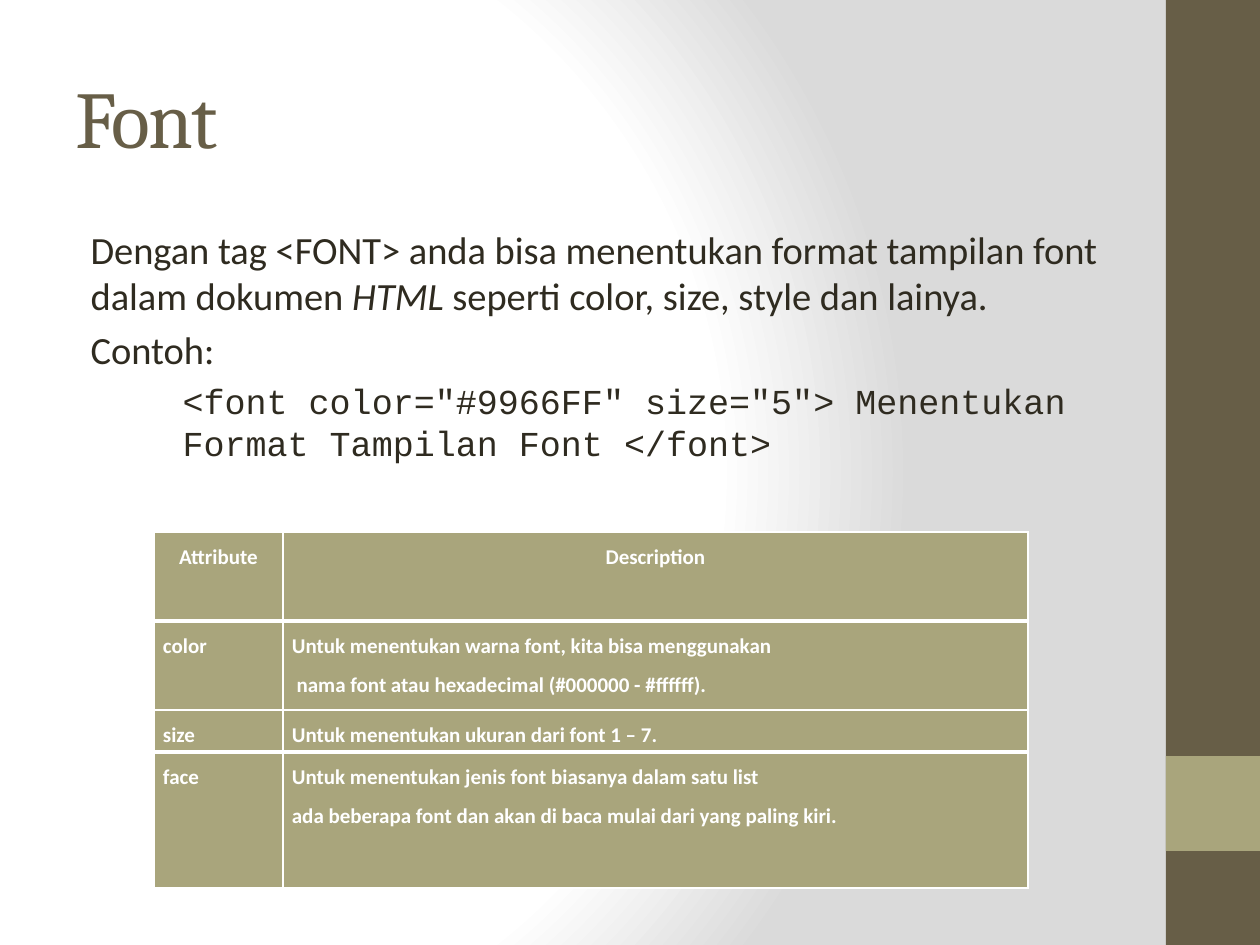
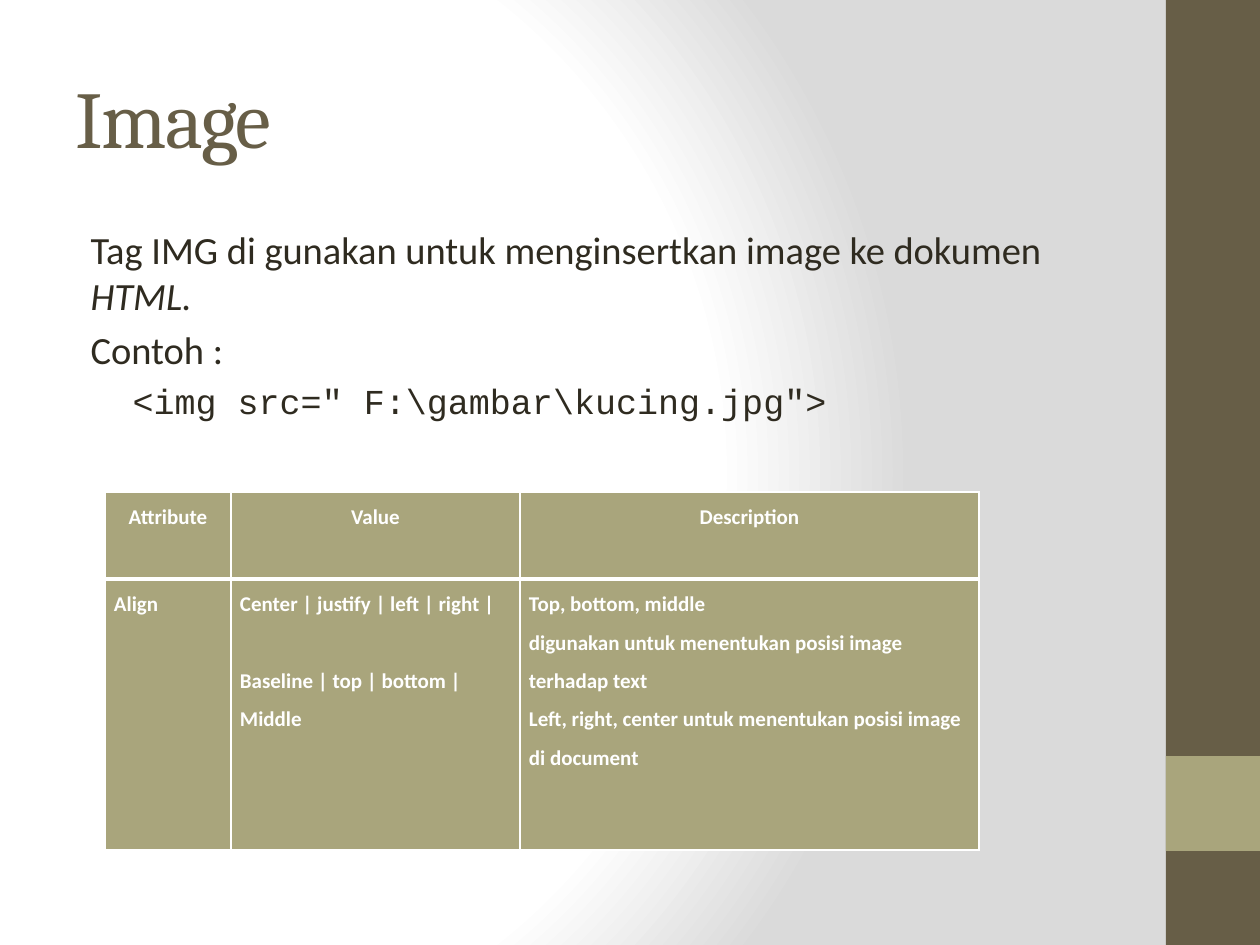
from pptx import Presentation
from pptx import util as u
from pptx.dml.color import RGBColor
from pptx.enum import shapes, text
from pptx.oxml import parse_xml
from pptx.oxml.ns import nsdecls, qn
from lxml import etree

OLIVE, SAGE, INK, WHITE, GREY = "675E47", "A9A57C", "2F2B20", "FFFFFF", "DADADA"
HEADING, BODY, CODE = "Cambria", "Calibri", "Courier New"
PX_PER_INCH = 126

BANDS = [((1166, 0, 94, 945), OLIVE), ((1166, 756, 94, 95), SAGE)]
TITLE_BOX = (63, 38, 1050, 157)
BODY_BOX = (63, 220, 1050, 662)
GLOW_STOPS = [(0, WHITE), (75, WHITE), (100, GREY)]
EXTRA_GAP = 22

TOPICS = [
    {
        "title": "Font",
        "intro": [
            [("Dengan tag <FONT> anda bisa menentukan format tampilan font dalam dokumen ", False),
             ("HTML", True),
             (" seperti color, size, style dan lainya.", False)],
            [("Contoh:", False)],
        ],
        "code": '<font color="#9966FF" size="5"> Menentukan Format Tampilan Font </font>',
        "code_level": 2,
        "code_indent": 107,
        "table_at": (154, 532),
        "columns": [129, 745],
        "rows": [89, 89, 42, 136],
        "heavy_rules": [1, 3],
        "cells": [
            [["Attribute"], ["Description"]],
            [["color"], ["Untuk menentukan warna font, kita bisa menggunakan",
                         " nama font atau hexadecimal (#000000 - #ffffff)."]],
            [["size"], ["Untuk menentukan ukuran dari font 1 – 7."]],
            [["face"], ["Untuk menentukan jenis font biasanya dalam satu list",
                        "ada beberapa font dan akan di baca mulai dari yang paling kiri."]],
        ],
        "spaced": [],
    },
    {
        "title": "Image",
        "intro": [
            [("Tag IMG di gunakan untuk menginsertkan image ke dokumen ", False),
             ("HTML.", True)],
            [("Contoh :", False)],
        ],
        "code": '<img src=" F:\\gambar\\kucing.jpg">',
        "code_level": 1,
        "code_indent": 57,
        "table_at": (105, 492),
        "columns": [126, 289, 459],
        "rows": [87, 271],
        "heavy_rules": [1],
        "cells": [
            [["Attribute"], ["Value"], ["Description"]],
            [["Align"],
             ["Center | justify | left | right |", "Baseline | top | bottom |", "Middle"],
             ["Top, bottom, middle",
              "digunakan untuk menentukan posisi image terhadap text",
              "Left, right, center untuk menentukan posisi image di document"]],
        ],
        "spaced": ["Baseline | top | bottom |"],
    },
]


def px(length):
    return u.Emu(round(length * 914400 / PX_PER_INCH))


def colour(value):
    return RGBColor.from_string(value)


def place(part, box):
    part.left, part.top, part.width, part.height = map(px, box)


def write(paragraph, words, *, size, font=BODY, ink=INK, bold=False, italic=False, tracking=None):
    run = paragraph.add_run()
    run.text = words
    run.font.size, run.font.name = u.Pt(size), font
    run.font.bold, run.font.italic = bold, italic
    run.font.color.rgb = colour(ink)
    if tracking:
        run.font._element.set("spc", str(tracking * 100))


def next_paragraph(frame, index):
    return frame.add_paragraph() if index else frame.paragraphs[0]


def outdent(paragraph, margin):
    properties = paragraph._p.get_or_add_pPr()
    properties.set("marL", str(px(margin)))
    properties.set("indent", "0")
    etree.SubElement(properties, qn("a:buNone"))


def dress_master(master, slide):
    stops = "".join(f'<a:gs pos="{at * 1000}"><a:srgbClr val="{tint}"/></a:gs>'
                    for at, tint in GLOW_STOPS)
    page = master.element.cSld
    page.remove(page.find(qn("p:bg")))
    page.insert(0, parse_xml(
        f'<p:bg {nsdecls("p", "a")}><p:bgPr><a:gradFill rotWithShape="1">'
        f'<a:gsLst>{stops}</a:gsLst><a:path path="circle">'
        '<a:fillToRect l="20000" t="50000" r="100000" b="50000"/></a:path>'
        '</a:gradFill><a:effectLst/></p:bgPr></p:bg>'))
    for position, (box, tint) in enumerate(BANDS, start=2):
        band = slide.shapes.add_shape(shapes.MSO_SHAPE.RECTANGLE, *map(px, box))
        band.shadow.inherit = False
        band.fill.solid()
        band.fill.fore_color.rgb = colour(tint)
        band.line.fill.background()
        master.shapes.element.insert(position, band.element)


def add_title(slide, words):
    title = slide.shapes.title
    place(title, TITLE_BOX)
    frame = title.text_frame
    frame.auto_size = text.MSO_AUTO_SIZE.NONE
    frame.vertical_anchor = text.MSO_ANCHOR.MIDDLE
    heading = frame.paragraphs[0]
    heading.alignment = text.PP_ALIGN.LEFT
    write(heading, words, size=46, font=HEADING, ink=OLIVE, tracking=-1)


def add_explanation(slide, topic):
    body = slide.placeholders[1]
    place(body, BODY_BOX)
    frame = body.text_frame
    frame.auto_size = text.MSO_AUTO_SIZE.NONE
    for index, pieces in enumerate(topic["intro"]):
        paragraph = next_paragraph(frame, index)
        outdent(paragraph, 15)
        for words, italic in pieces:
            write(paragraph, words, size=22, italic=italic)
    example = frame.add_paragraph()
    example.level = topic["code_level"]
    outdent(example, topic["code_indent"])
    write(example, topic["code"], size=20, font=CODE)


def rule_cell(cell, top, bottom):
    properties = cell._tc.get_or_add_tcPr()
    for side, points in (("L", 1), ("R", 1), ("T", top), ("B", bottom)):
        properties.append(parse_xml(
            f'<a:ln{side} {nsdecls("a")} w="{u.Pt(points)}"><a:solidFill>'
            f'<a:srgbClr val="{WHITE}"/></a:solidFill></a:ln{side}>'))


def add_attributes(slide, topic):
    columns, rows = topic["columns"], topic["rows"]
    table = slide.shapes.add_table(
        len(rows), len(columns),
        *map(px, (*topic["table_at"], sum(columns), sum(rows)))).table
    table.first_row = table.horz_banding = False
    for column, width in zip(table.columns, columns):
        column.width = px(width)
    for row_no, (row, height) in enumerate(zip(table.rows, rows)):
        row.height = px(height)
        top, bottom = (3 if edge in topic["heavy_rules"] else 1
                       for edge in (row_no, row_no + 1))
        for cell, lines in zip(row.cells, topic["cells"][row_no]):
            rule_cell(cell, top, bottom)
            cell.fill.solid()
            cell.fill.fore_color.rgb = colour(SAGE)
            cell.margin_left = cell.margin_right = px(9)
            cell.margin_top = cell.margin_bottom = 0
            for index, words in enumerate(lines):
                paragraph = next_paragraph(cell.text_frame, index)
                paragraph.line_spacing = 1.5
                paragraph.alignment = text.PP_ALIGN.LEFT if row_no else text.PP_ALIGN.CENTER
                if words in topic["spaced"]:
                    paragraph.space_before = u.Pt(EXTRA_GAP)
                write(paragraph, words, size=12, ink=WHITE, bold=True)


def main():
    deck = Presentation()
    deck.slide_width, deck.slide_height = px(1260), px(945)
    for number, topic in enumerate(TOPICS):
        slide = deck.slides.add_slide(deck.slide_layouts[1])
        if number == 0:
            dress_master(deck.slide_master, slide)
        add_title(slide, topic["title"])
        add_explanation(slide, topic)
        add_attributes(slide, topic)
    deck.save("out.pptx")


if __name__ == "__main__":
    main()
